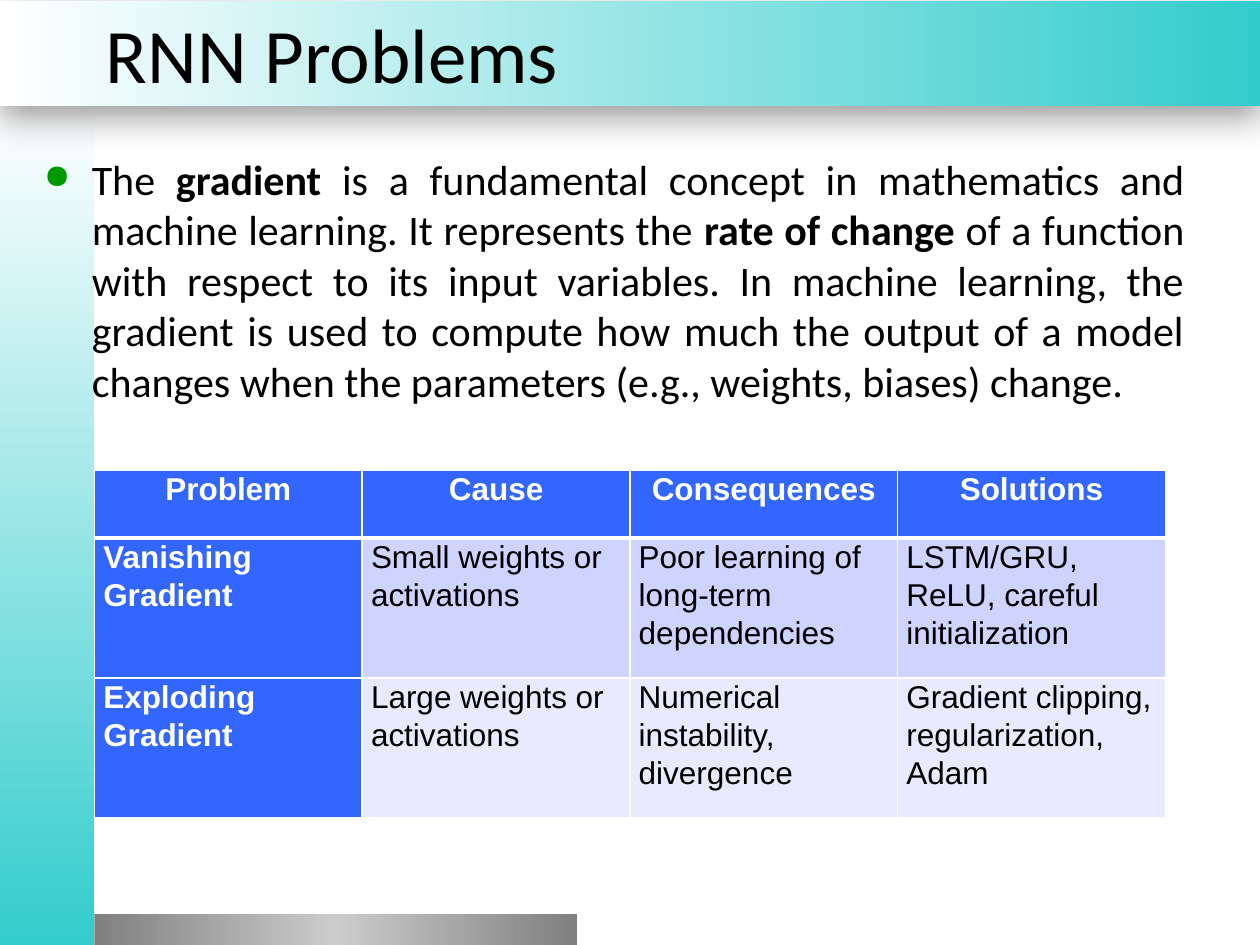
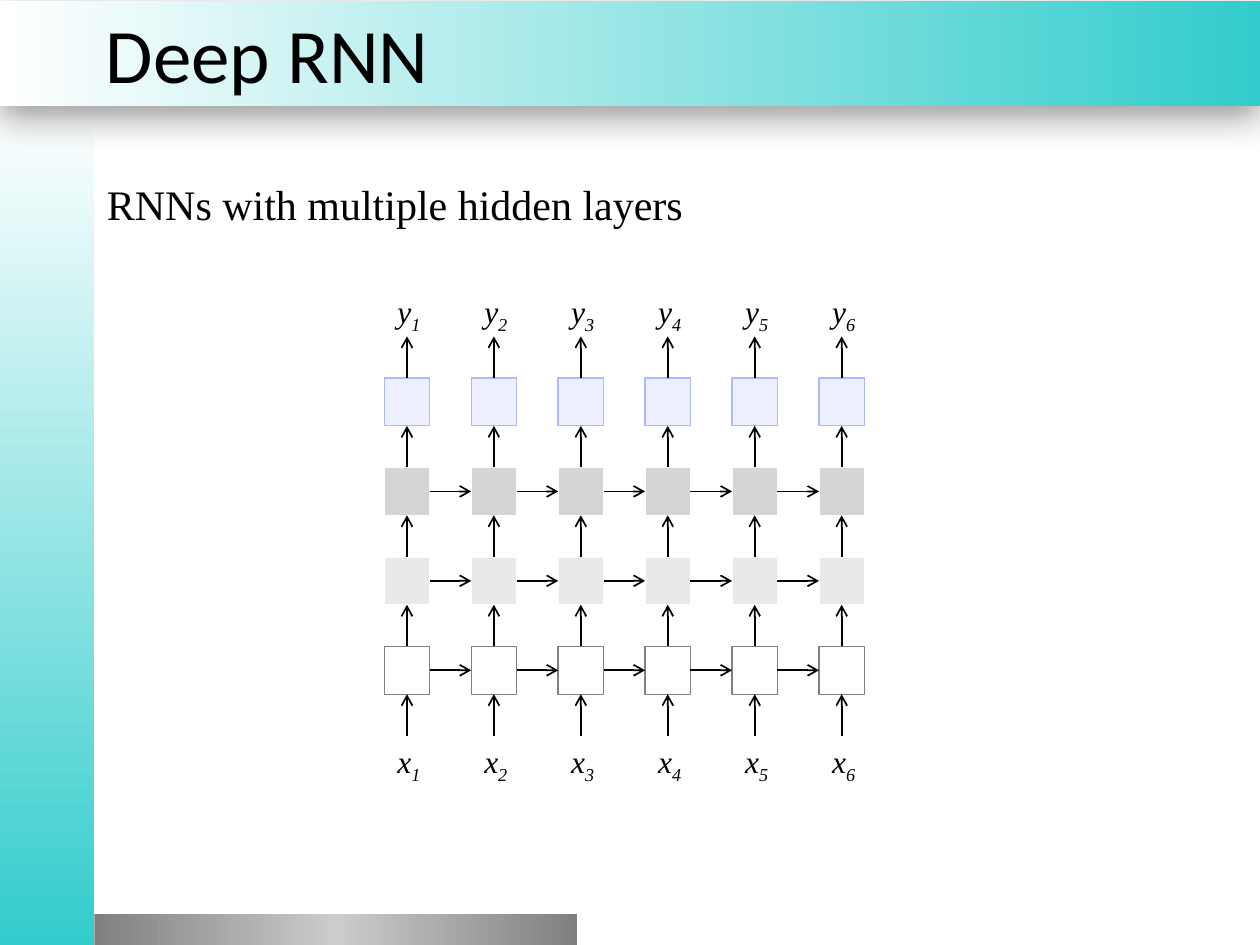
from lxml import etree
from pptx import Presentation
from pptx.dml.color import RGBColor
from pptx.enum import shapes, text
from pptx.oxml.ns import qn
from pptx.util import Inches, Pt

HUES = {
    "white": "FFFFFF", "black": "000000", "teal": "33CCCC",
    "gray": "808080", "silver": "CCCCCC", "ash": "BFBFBF",
    "green": "009900", "blue": "3366FF", "band": "CED3FF",
    "pale": "E8EAFF", "lilac": "CED4FF", "edge": "ADB8FF",
}
SANS, SERIF, ARIAL = "Calibri", "Times New Roman", "Arial"


def rgb(hue):
    return RGBColor.from_string(HUES[hue])


def node(parent, tag, **attrs):
    return etree.SubElement(parent, qn(tag), attrs)


def tint(parent, hue, alpha=None):
    """Add a colour element, with an opacity in percent if given."""
    clr = node(parent, "a:srgbClr", val=HUES[hue])
    if alpha:
        node(clr, "a:alpha", val=str(alpha * 1000))


def style(item, face, size, hue="black", bold=False, italic=False):
    """Set the font of a paragraph."""
    font = item.font
    font.name, font.size = face, Pt(size)
    font.bold, font.italic = bold, italic
    font.color.rgb = rgb(hue)


# Basic elements
def rect(slide, x, y, w, h):
    box = slide.shapes.add_shape(shapes.MSO_SHAPE.RECTANGLE, Inches(x),
                                 Inches(y), Inches(w), Inches(h))
    box.shadow.inherit = False
    return box


def label(slide, x, y, w, h, wrap=True):
    """Add a text box and return its first paragraph."""
    frame = slide.shapes.add_textbox(Inches(x), Inches(y), Inches(w),
                                     Inches(h)).text_frame
    frame.word_wrap = wrap
    return frame.paragraphs[0]


def fade(slide, x, y, w, h, hues, angle=0):
    """Add a band with evenly spaced gradient stops."""
    band = rect(slide, x, y, w, h)
    band.line.fill.background()
    band.fill.gradient()
    band.fill.gradient_angle = angle
    stops = next(band.element.iter(qn("a:gsLst")))
    stops.clear()
    for i, hue in enumerate(hues):
        pos = 100000 * i // (len(hues) - 1)
        tint(node(stops, "a:gs", pos=str(pos)), hue)
    return band


def arrow(slide, start, end):
    """Add an arrow; each end is a point or a (shape, side) pair."""
    line = slide.shapes.add_connector(shapes.MSO_CONNECTOR.STRAIGHT, 0, 0, 0, 0)
    line.line.color.rgb = rgb("black")
    line.line.width = Pt(1)
    node(line.line._get_or_add_ln(), "a:tailEnd", type="arrow")
    node(line.element.spPr, "a:effectLst")
    if isinstance(start[0], float):
        line.begin_x, line.begin_y = map(Inches, start)
    else:
        line.begin_connect(*start)
    if isinstance(end[0], float):
        line.end_x, line.end_y = map(Inches, end)
    else:
        line.end_connect(*end)


# Shared frame: side band, title band with shadow, footer band and title
def page(deck, name):
    slide = deck.slides.add_slide(deck.slide_layouts[5])
    fade(slide, 0, 0.86, 0.75, 6.64, ["white", "teal"], 270)
    top = fade(slide, 0, 0.01, 10, 0.83, ["white", "teal"])
    glow = node(top.element.spPr.find(qn("a:effectLst")), "a:outerShdw",
                blurRad=str(Pt(20)), dist=str(Pt(6)), dir="5400000",
                rotWithShape="0")
    tint(glow, "black", 40)
    fade(slide, 0.75, 7.25, 3.83, 0.25, ["gray", "silver", "gray"])

    title = slide.shapes.title
    title.element.getparent().append(title.element)
    title.left, title.top = Inches(0.74), Inches(0)
    title.width, title.height = Inches(9.26), Inches(0.83)
    frame = title.text_frame
    frame.text = name
    frame.auto_size = text.MSO_AUTO_SIZE.NONE
    frame.vertical_anchor = text.MSO_ANCHOR.MIDDLE
    para = frame.paragraphs[0]
    para.alignment = text.PP_ALIGN.LEFT
    style(para, SANS, 44)
    return slide


def bullet(para, parts):
    """Fill a justified bullet paragraph; odd parts are bold."""
    props = para._p.get_or_add_pPr()
    props.set("marL", str(Inches(0.38)))
    props.set("indent", str(-Inches(0.38)))
    tint(node(props, "a:buClr"), "green")
    node(props, "a:buSzPct", val="80000")
    node(props, "a:buChar", char="●")
    para.alignment = text.PP_ALIGN.JUSTIFY
    style(para, SANS, 24)
    for i, part in enumerate(parts):
        run = para.add_run()
        run.text = part
        if i % 2:
            run.font.bold = True


# Table
def border(cell, head):
    props = cell._tc.get_or_add_tcPr()
    for side in "LRTB":
        wide = 3 if head and side == "B" else 1
        line = node(props, f"a:ln{side}", w=str(Pt(wide)))
        tint(node(line, "a:solidFill"), "white")


def grid(slide, x, y, w, rows, highs):
    table = slide.shapes.add_table(len(rows), len(rows[0]), Inches(x),
                                   Inches(y), Inches(w),
                                   Inches(sum(highs))).table
    table.first_col = True
    for r, row in enumerate(rows):
        table.rows[r].height = Inches(highs[r])
        for c, words in enumerate(row):
            cell = table.cell(r, c)
            key = r == 0 or c == 0
            border(cell, r == 0)
            cell.fill.solid()
            cell.fill.fore_color.rgb = rgb(
                "blue" if key else "band" if r % 2 else "pale")
            cell.margin_left = cell.margin_right = Inches(0.07)
            cell.margin_top = cell.margin_bottom = 0
            cell.text = words
            para = cell.text_frame.paragraphs[0]
            para.line_spacing, para.space_after = 1.07, Pt(8)
            if r == 0:
                para.alignment = text.PP_ALIGN.CENTER
            style(para, ARIAL, 18, "white" if key else "black", bold=key)


# Network diagram
def cell(slide, x, y, w, h, hue, edge):
    box = rect(slide, x, y, w, h)
    box.fill.solid()
    box.fill.fore_color.rgb = rgb(hue)
    clr = next(box.element.spPr.iter(qn("a:srgbClr")))
    node(clr, "a:alpha", val="33000")
    box.line.color.rgb = rgb(edge)
    box.line.width = Pt(0.75)
    return box


def symbol(slide, x, y, name, index):
    """Add a variable name with a subscript."""
    para = label(slide, x, y, 0.41, 0.4, wrap=False)
    para.alignment = text.PP_ALIGN.CENTER
    style(para, SERIF, 18, italic=True)
    para.add_run().text = name
    sub = para.add_run()
    sub.text = str(index)
    sub._r.get_or_add_rPr().set("baseline", "-25000")


def network(slide, x, y, steps):
    wide, high, gap = 0.36, 0.38, 0.33
    layers = [("lilac", "edge"), ("gray", "white"),
              ("ash", "white"), ("white", "gray")]
    nodes = [[cell(slide, x + c * (wide + gap), y + r * (high + gap),
                   wide, high, *hues) for c in range(steps)]
             for r, hues in enumerate(layers)]
    base = y + len(layers) * (high + gap)

    # Links along the hidden layers, then between layers
    for row in nodes[1:]:
        for a, b in zip(row, row[1:]):
            arrow(slide, (a, 3), (b, 1))
    for upper, lower in zip(nodes, nodes[1:]):
        for a, b in zip(lower, upper):
            arrow(slide, (a, 0), (b, 2))

    # Inputs and outputs
    for c in range(steps):
        left = x + c * (wide + gap)
        mid = left + wide / 2
        arrow(slide, (mid, base), (nodes[-1][c], 2))
        arrow(slide, (nodes[0][c], 0), (mid, y - gap))
        symbol(slide, left - 0.01, base, "x", c + 1)
        symbol(slide, left - 0.01, y - gap - 0.4, "y", c + 1)


def main():
    deck = Presentation()
    deck.slide_width, deck.slide_height = Inches(10), Inches(7.5)

    # Gradient problems
    slide = page(deck, "RNN Problems")
    bullet(label(slide, 0.25, 1.17, 9.25, 2.4), [
        "The ", "gradient",
        " is a fundamental concept in mathematics and machine learning. "
        "It represents the ", "rate of change",
        " of a function with respect to its input variables. In machine "
        "learning, the gradient is used to compute how much the output of a "
        "model changes when the parameters (e.g., weights, biases) change."])
    grid(slide, 0.75, 3.73, 8.5, [
        ["Problem", "Cause", "Consequences", "Solutions"],
        ["Vanishing Gradient", "Small weights or activations",
         "Poor learning of long-term dependencies",
         "LSTM/GRU, ReLU, careful initialization"],
        ["Exploding Gradient", "Large weights or activations",
         "Numerical instability, divergence",
         "Gradient clipping, regularization, Adam"],
    ], [0.54, 1.11, 1.11])

    # Stacked layers
    slide = page(deck, "Deep RNN")
    para = label(slide, 0.75, 1.37, 9, 0.63)
    para.text = "RNNs with multiple hidden layers"
    style(para, SERIF, 24)
    network(slide, 3.05, 3, 6)

    deck.save("out.pptx")


if __name__ == "__main__":
    main()
